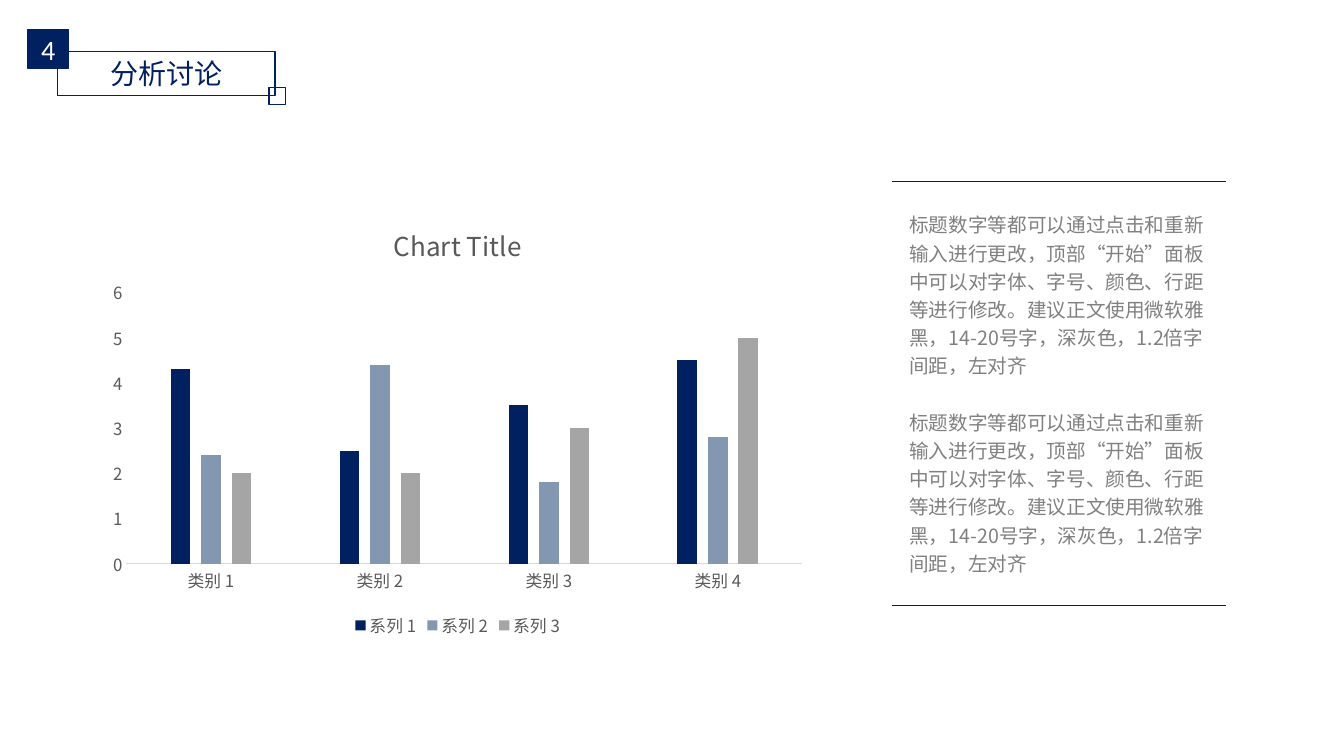
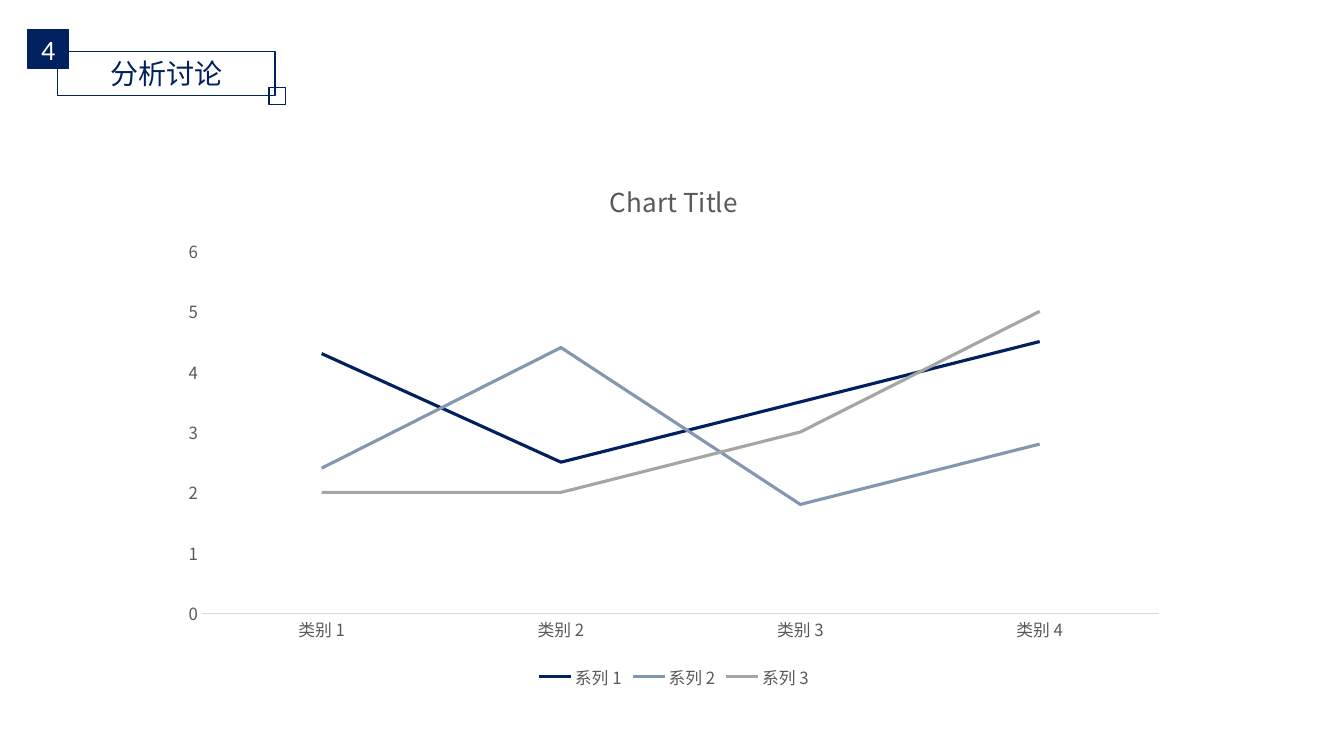
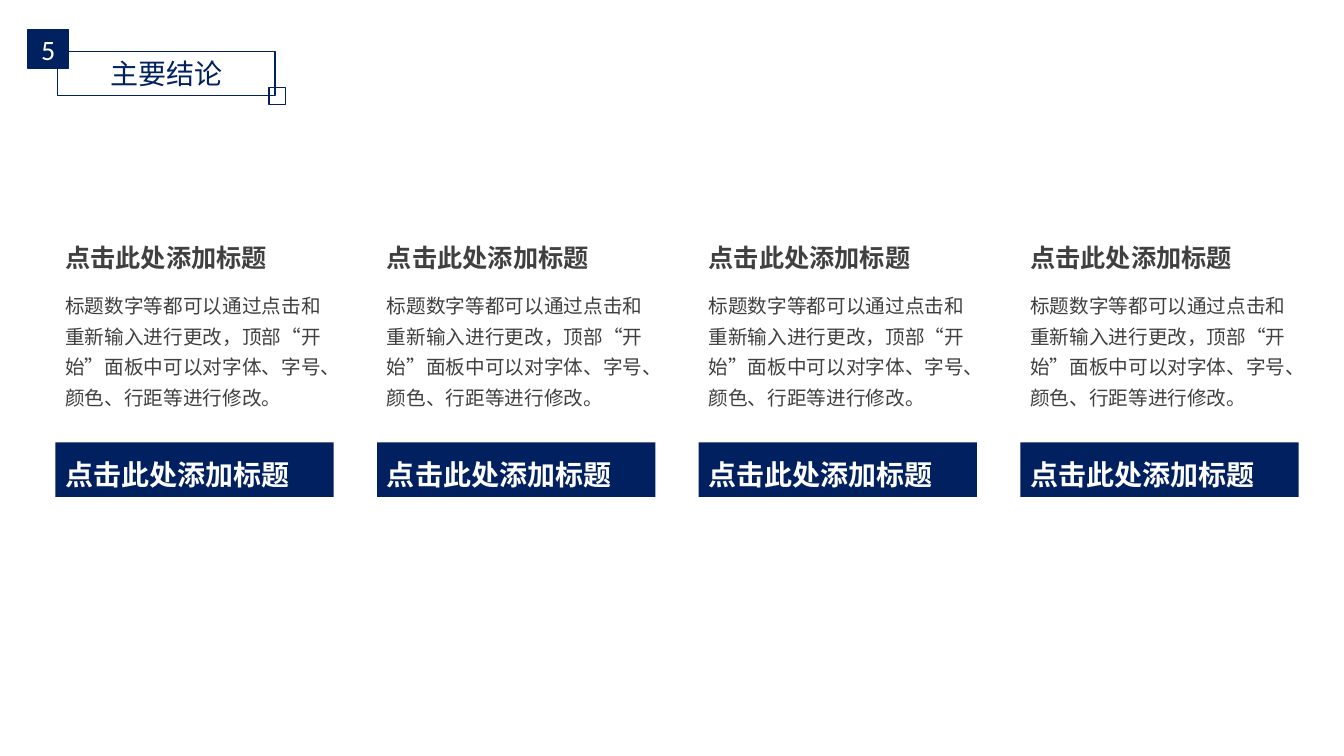
from lxml.etree import Element
from pptx import Presentation
from pptx.chart.data import CategoryChartData
from pptx.dml.color import RGBColor
from pptx.enum.chart import XL_CHART_TYPE, XL_LEGEND_POSITION, XL_MARKER_STYLE, XL_TICK_MARK
from pptx.enum.shapes import MSO_CONNECTOR, MSO_SHAPE
from pptx.enum.text import MSO_ANCHOR, PP_ALIGN
from pptx.oxml import parse_xml
from pptx.oxml.ns import nsdecls, qn
from pptx.util import Inches, Pt

# Shared look
NAVY = RGBColor(0x00, 0x20, 0x60)
STEEL = RGBColor(0x84, 0x97, 0xB0)
SILVER = RGBColor(0xA5, 0xA5, 0xA5)
RULE_GREY = RGBColor(0xD9, 0xD9, 0xD9)
CHART_TEXT = RGBColor(0x59, 0x59, 0x59)
BODY_GREY = RGBColor(0x80, 0x80, 0x80)
DARK_GREY = RGBColor(0x40, 0x40, 0x40)
WHITE = RGBColor(0xFF, 0xFF, 0xFF)
CJK_FONT = "Noto Sans CJK SC"
NUMBER_FONT = "Calibri"

# Grid of the conclusion columns, in inches
COLUMN_COUNT = 4
COLUMN_LEFT = 0.55
COLUMN_WIDTH = 2.76
COLUMN_GAP = 0.43

# Content
CATEGORIES = ["类别 1", "类别 2", "类别 3", "类别 4"]
SERIES = [
    ("系列 1", (4.3, 2.5, 3.5, 4.5), NAVY),
    ("系列 2", (2.4, 4.4, 1.8, 2.8), STEEL),
    ("系列 3", (2, 2, 3, 5), SILVER),
]
HEADING = "点击此处添加标题"
SUMMARY = "标题数字等都可以通过点击和重新输入进行更改，顶部“开始”面板中可以对字体、字号、颜色、行距等进行修改。"
ADVICE = SUMMARY + "建议正文使用微软雅黑，14-20号字，深灰色，1.2倍字间距，左对齐"


def inches(*lengths):
    return [Inches(length) for length in lengths]


def set_font(font, size, color, name=CJK_FONT, bold=False):
    font.size, font.name, font.bold = Pt(size), name, bold
    font.color.rgb = color


def match_east_asian(element):
    """Give Chinese text the same typeface as Latin text."""
    for latin in list(element.iter(qn("a:latin"))):
        east_asian = Element(qn("a:ea"))
        east_asian.set("typeface", latin.get("typeface"))
        latin.addnext(east_asian)


def write(shape, texts, size, color, name=CJK_FONT, bold=False,
          spacing=1.0, gap=0, align=PP_ALIGN.LEFT, anchor=MSO_ANCHOR.TOP):
    frame = shape.text_frame
    frame.word_wrap = True
    frame.vertical_anchor = anchor
    for index, text in enumerate(texts):
        para = frame.paragraphs[0] if index == 0 else frame.add_paragraph()
        para.text = text
        para.alignment = align
        para.line_spacing = spacing
        if index:
            para.space_before = Pt(gap)
        set_font(para.font, size, color, name, bold)


def add_text(page, place, texts, size, color, **style):
    write(page.shapes.add_textbox(*inches(*place)), texts, size, color, **style)


def add_box(page, place, fill=None, line=None):
    box = page.shapes.add_shape(MSO_SHAPE.RECTANGLE, *inches(*place))
    box.shadow.inherit = False
    if fill is None:
        box.fill.background()
    else:
        box.fill.solid()
        box.fill.fore_color.rgb = fill
    if line is None:
        box.line.fill.background()
    else:
        box.line.color.rgb = line
        box.line.width = Pt(1)
    return box


def add_rule(page, left, right, top):
    rule = page.shapes.add_connector(MSO_CONNECTOR.STRAIGHT, *inches(left, top, right, top))
    rule.line.color.rgb = NAVY
    rule.line.width = Pt(0.5)
    rule.element.spPr.append(parse_xml(f"<a:effectLst {nsdecls('a')}/>"))


def add_header(page, number, title):
    centred = {"align": PP_ALIGN.CENTER, "anchor": MSO_ANCHOR.MIDDLE}
    frame = add_box(page, (0.57, 0.51, 2.16, 0.44), line=NAVY)
    write(frame, [title], 20, NAVY, **centred)
    badge = add_box(page, (0.28, 0.29, 0.4, 0.39), fill=NAVY, line=NAVY)
    write(badge, [number], 20, WHITE, name=NUMBER_FONT, **centred)
    add_box(page, (2.67, 0.87, 0.16, 0.17), line=NAVY)


def add_series_chart(page, kind, place):
    data = CategoryChartData()
    data.categories = CATEGORIES
    for name, values, _ in SERIES:
        data.add_series(name, values)
    chart = page.shapes.add_chart(kind, *inches(*place), data).chart
    set_font(chart.font, 12, CHART_TEXT)

    # Title and legend
    chart.has_title = True
    title = chart.chart_title.text_frame
    title.text = "Chart Title"
    set_font(title.paragraphs[0].font, 18.6, CHART_TEXT)
    chart.has_legend = True
    chart.legend.position = XL_LEGEND_POSITION.BOTTOM
    chart.legend.include_in_layout = False
    set_font(chart.legend.font, 12, CHART_TEXT)

    # Axes
    for axis in (chart.category_axis, chart.value_axis):
        axis.has_major_gridlines = False
        axis.major_tick_mark = axis.minor_tick_mark = XL_TICK_MARK.NONE
        set_font(axis.tick_labels.font, 12, CHART_TEXT)
    chart.category_axis.format.line.color.rgb = RULE_GREY
    chart.category_axis.format.line.width = Pt(0.75)
    values = chart.value_axis
    values.format.line.fill.background()
    values.minimum_scale, values.maximum_scale, values.major_unit = 0, 6, 1

    # Series
    plot = chart.plots[0]
    plot.vary_by_categories = False
    for series, (_, _, color) in zip(plot.series, SERIES):
        if kind == XL_CHART_TYPE.LINE:
            series.smooth = False
            series.marker.style = XL_MARKER_STYLE.NONE
            series.format.line.color.rgb = color
            series.format.line.width = Pt(2.25)
        else:
            series.format.fill.solid()
            series.format.fill.fore_color.rgb = color
    match_east_asian(chart.element)
    return plot


def add_conclusion(page, column):
    left = COLUMN_LEFT + column * (COLUMN_WIDTH + COLUMN_GAP)
    add_text(page, (left, 2.8, COLUMN_WIDTH, 1.33), [SUMMARY], 14, DARK_GREY, spacing=1.3)
    add_text(page, (left, 2.26, COLUMN_WIDTH, 0.49), [HEADING], 18, DARK_GREY,
             bold=True, spacing=1.3)
    banner = add_box(page, (left, 4.39, COLUMN_WIDTH, 0.54), fill=NAVY)
    write(banner, [HEADING], 20, WHITE, bold=True, spacing=1.3)


def add_page(deck, number, title):
    page = deck.slides.add_slide(deck.slide_layouts[6])
    add_header(page, number, title)
    return page


def main():
    deck = Presentation()
    deck.slide_width, deck.slide_height = inches(13.33, 7.5)

    # Column chart with notes
    page = add_page(deck, "4", "分析讨论")
    columns = add_series_chart(page, XL_CHART_TYPE.COLUMN_CLUSTERED, (0.98, 2.02, 7.12, 4.35))
    columns.gap_width, columns.overlap = 449, -55
    for top in (1.8, 6.01):
        add_rule(page, 8.85, 12.16, top)
    add_text(page, (8.92, 2.02, 3.18, 3.78), [ADVICE, ADVICE], 14, BODY_GREY,
             spacing=1.2, gap=20)

    # Line chart
    page = add_page(deck, "4", "分析讨论")
    add_series_chart(page, XL_CHART_TYPE.LINE, (1.67, 1.57, 10.03, 5.31))

    # Conclusions
    page = add_page(deck, "5", "主要结论")
    for column in range(COLUMN_COUNT):
        add_conclusion(page, column)

    for page in deck.slides:
        match_east_asian(page.element)
    deck.save("out.pptx")


if __name__ == "__main__":
    main()
